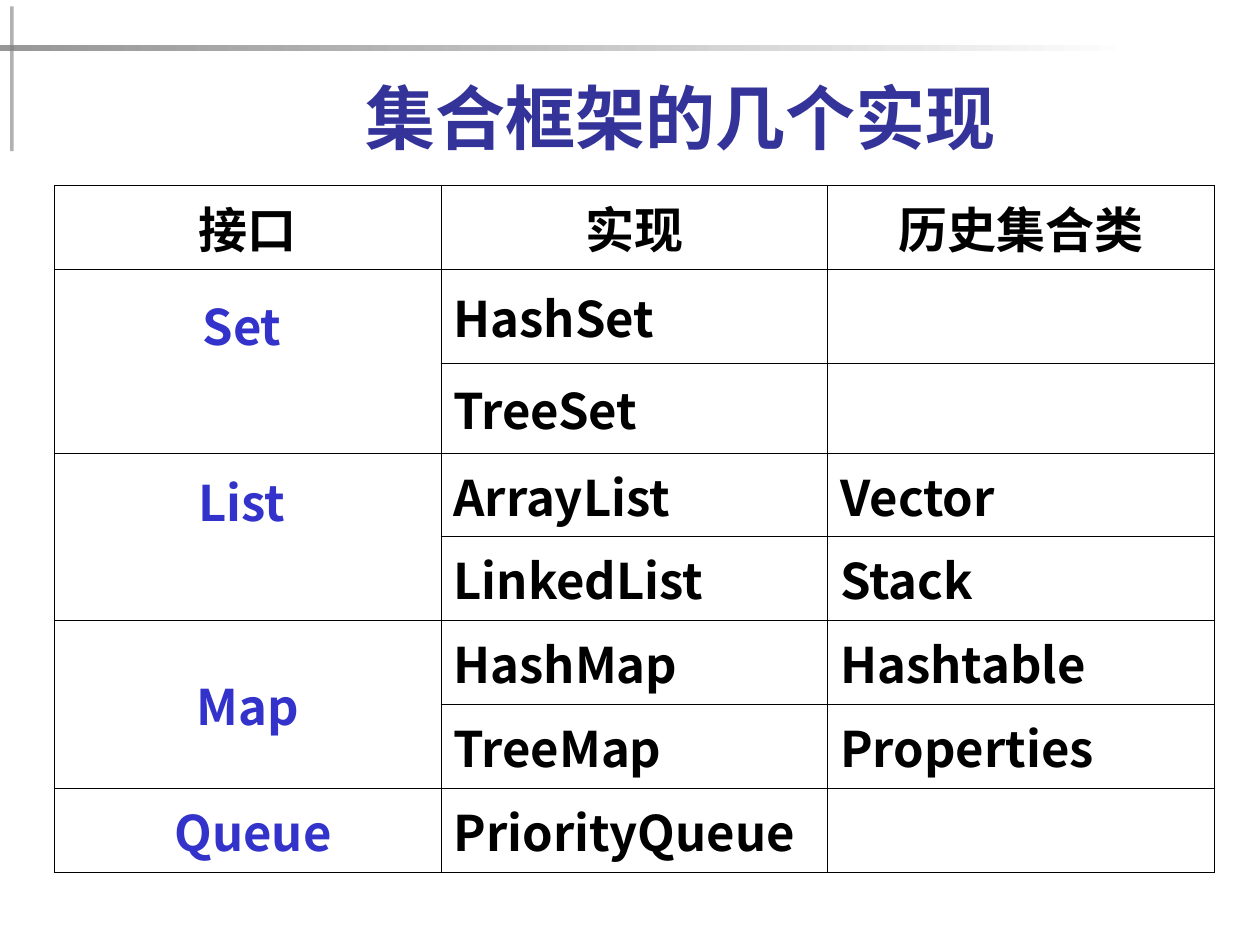
from dataclasses import dataclass

from lxml.etree import SubElement
from pptx import Presentation
from pptx.dml.color import RGBColor as RGB
from pptx.enum.shapes import MSO_SHAPE as SHAPE
from pptx.enum.text import MSO_ANCHOR as ANCHOR, PP_ALIGN as ALIGN
from pptx.oxml import parse_xml
from pptx.oxml.ns import nsdecls, qn
from pptx.util import Inches, Pt


@dataclass(frozen=True)
class Theme:
    title: str = "333399"
    interface: str = "3333CC"
    text: str = "000000"
    border: str = "000000"
    upright: str = "1C1C1C"
    fade_from: str = "808080"
    fade_to: str = "FFFFFF"
    title_size: int = 40
    cell_size: int = 28
    border_width: float = 0.34
    title_font: str = "Karla"
    font: str = "Noto Sans CJK SC"


THEME = Theme()

HEADERS = ["接口", "实现", "历史集合类"]
# Interface, then its (implementation, legacy class) rows
GROUPS = [
    ("Set ", [("HashSet", ""), ("TreeSet", "")]),
    ("List ", [("ArrayList", "Vector"), ("LinkedList", "Stack")]),
    ("Map", [("HashMap", "Hashtable"), ("TreeMap", "Properties")]),
    (" Queue", [("PriorityQueue", "")]),
]
RAISED = {"Set ", "List "}
RAISED_MARGIN = 0.63

TABLE_BOX = (0.43, 1.47, 9.21, 5.45)
TALL_ROWS = {1: 0.75, 2: 0.71}


def add_run(p, text, size, color, font):
    r = p.add_run()
    r.text = text
    r.font.size = Pt(size)
    r.font.bold = True
    r.font.color.rgb = RGB.from_string(color)
    r.font.name = font
    r.font._element.append(
        parse_xml(f'<a:ea {nsdecls("a")} typeface="{THEME.font}"/>'))


def set_alpha(fill, percent):
    """Make the first colour of a filled shape partly transparent."""
    color = next(fill.iter(qn("a:srgbClr")))
    SubElement(color, qn("a:alpha")).set("val", str(percent * 1000))


def add_bar(slide, box):
    sp = slide.shapes.add_shape(SHAPE.RECTANGLE, *map(Inches, box))
    sp.shadow.inherit = False
    sp.line.fill.background()
    return sp


def add_crossed_bars(slide):
    upright = add_bar(slide, (0.08, 0.05, 0.03, 1.15))
    upright.fill.solid()
    upright.fill.fore_color.rgb = RGB.from_string(THEME.upright)
    set_alpha(upright._element.spPr, 34)

    level = add_bar(slide, (0, 0.36, 9, 0.04))
    level.fill.gradient()
    level.fill.gradient_angle = 0
    for stop, color, position in zip(level.fill.gradient_stops,
                                     (THEME.fade_from, THEME.fade_to), (0, 1)):
        stop.color.rgb = RGB.from_string(color)
        stop.position = position
    set_alpha(level._element.spPr, 81)


def add_title(slide, text):
    tf = slide.shapes.add_textbox(*map(Inches, (1.14, 0.52, 8.52, 0.79))).text_frame
    tf.word_wrap = True
    tf.vertical_anchor = ANCHOR.BOTTOM
    p = tf.paragraphs[0]
    p.alignment = ALIGN.CENTER
    add_run(p, text, THEME.title_size, THEME.title, THEME.title_font)


def style_cell(cell):
    """Clear the fill and draw a thin line on all four sides."""
    cell.fill.background()
    cell.vertical_anchor = ANCHOR.MIDDLE
    tc_pr = cell._tc.get_or_add_tcPr()
    for i, side in enumerate("LRTB"):
        tc_pr.insert(i, parse_xml(
            f'<a:ln{side} {nsdecls("a")} w="{Pt(THEME.border_width)}">'
            f'<a:solidFill><a:srgbClr val="{THEME.border}"/></a:solidFill>'
            f'</a:ln{side}>'))


def write_cell(cell, text, color=THEME.text, align=ALIGN.LEFT):
    p = cell.text_frame.paragraphs[0]
    p.alignment = align
    if text:
        add_run(p, text, THEME.cell_size, color, THEME.font)


def add_collections_table(slide):
    n_rows = 1 + sum(len(rows) for _, rows in GROUPS)
    n_cols = len(HEADERS)
    _, _, width, height = TABLE_BOX
    table = slide.shapes.add_table(n_rows, n_cols, *map(Inches, TABLE_BOX)).table
    table.first_row = table.horz_banding = False

    for col in table.columns:
        col.width = Inches(width / n_cols)
    plain = (height - sum(TALL_ROWS.values())) / (n_rows - len(TALL_ROWS))
    for i, row in enumerate(table.rows):
        row.height = Inches(TALL_ROWS.get(i, plain))
    for cell in table.iter_cells():
        style_cell(cell)

    for c, header in enumerate(HEADERS):
        write_cell(table.cell(0, c), header, align=ALIGN.CENTER)

    top = 1
    for interface, rows in GROUPS:
        head = table.cell(top, 0)
        if len(rows) > 1:
            head.merge(table.cell(top + len(rows) - 1, 0))
        write_cell(head, interface, THEME.interface, ALIGN.CENTER)
        if interface in RAISED:
            head.margin_bottom = Inches(RAISED_MARGIN)
        for r, names in enumerate(rows, top):
            for c, name in enumerate(names, 1):
                write_cell(table.cell(r, c), name)
        top += len(rows)


def main():
    prs = Presentation()
    prs.slide_width, prs.slide_height = Inches(10), Inches(7.5)
    slide = prs.slides.add_slide(prs.slide_layouts[6])
    add_crossed_bars(slide)
    add_title(slide, "集合框架的几个实现")
    add_collections_table(slide)
    prs.save("out.pptx")


if __name__ == "__main__":
    main()
